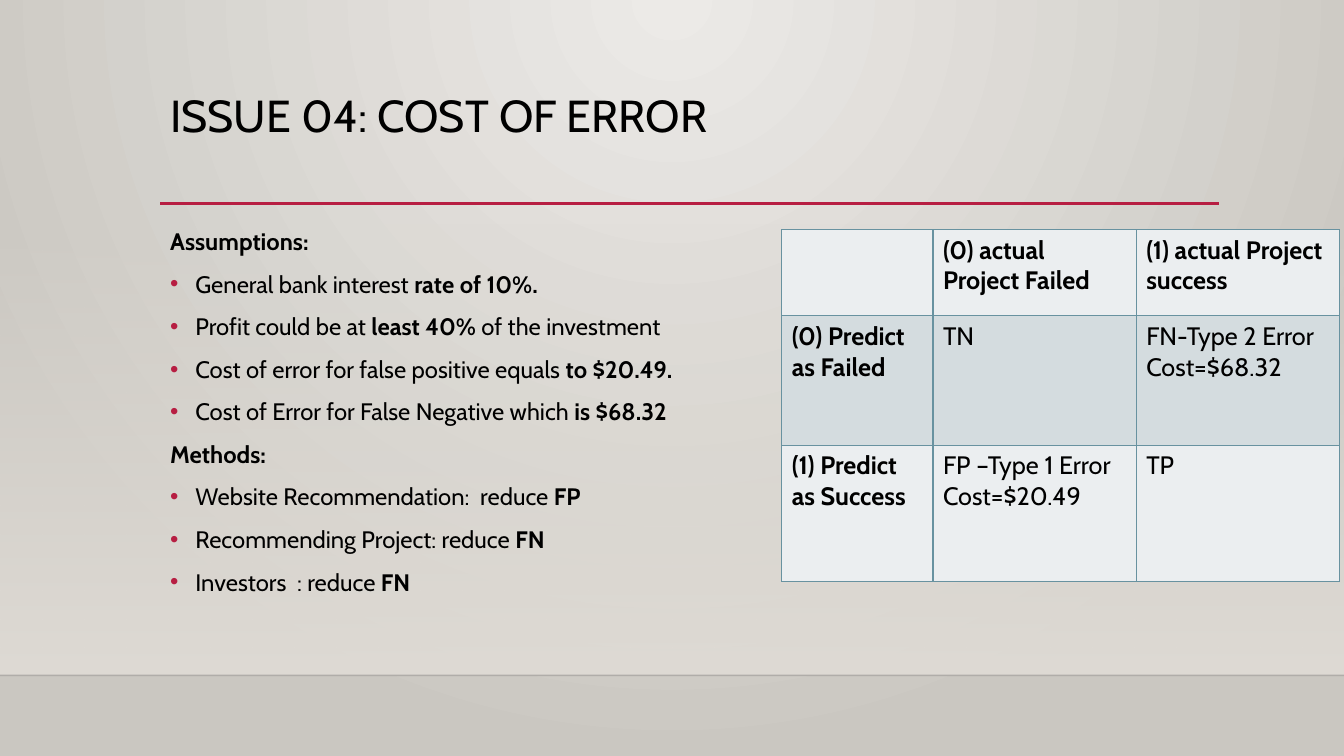
from pptx import Presentation
from pptx.dml.color import RGBColor
from pptx.enum.shapes import MSO_CONNECTOR, MSO_SHAPE
from pptx.enum.text import MSO_ANCHOR, PP_ALIGN
from pptx.oxml.ns import qn
from pptx.oxml.xmlchemy import OxmlElement
from pptx.util import Pt

STRAIGHT = MSO_CONNECTOR.STRAIGHT
RECTANGLE = MSO_SHAPE.RECTANGLE
TOP = MSO_ANCHOR.TOP
LEFT = PP_ALIGN.LEFT

FONT = "Cabin"
COLORS = {
    "glow": "ECEAE7",
    "edge": "CAC7C1",
    "wall": "DFDBD5",
    "floor_line": "000001",
    "accent": "B71E42",
    "text": "000000",
    "border": "6892A0",
    "light_row": "EBEEF0",
    "dark_row": "D4DCDF",
}
SLIDE_WIDTH, SLIDE_HEIGHT = 960, 540
FLOOR_TOP = 482.4
CONTENT_LEFT, CONTENT_WIDTH = 114.5, 756

# Each line is (is bulleted, [(text, is bold), ...])
BODY = [
    (False, [("Assumptions:", True)]),
    (True, [("General bank interest ", False), ("rate of 10%.", True)]),
    (True, [("Profit could be at ", False), ("least 40%", True),
            (" of the investment", False)]),
    (True, [("Cost of error for false positive equals ", False),
            ("to $20.49.", True)]),
    (True, [("Cost of Error for False Negative which ", False),
            ("is $68.32", True)]),
    (False, [("Methods:", True)]),
    (True, [("Website Recommendation:  reduce ", False), ("FP", True)]),
    (True, [("Recommending Project: reduce ", False), ("FN", True)]),
    (True, [("Investors  : reduce ", False), ("FN", True)]),
]

# Each cell is a list of paragraphs
MATRIX = [
    [[], ["(0) actual Project Failed"], ["(1) actual Project success"]],
    [["(0) Predict as Failed"], ["TN"], ["FN-Type 2 Error", "Cost=$68.32"]],
    [["(1) Predict as Success"], ["FP –Type 1 Error", "Cost=$20.49"], ["TP"]],
]
COLUMN_WIDTHS = [108, 145.2, 145.2]
ROW_HEIGHTS = [61.6, 92.6, 97]


def rgb(color):
    return RGBColor.from_string(COLORS[color])


def add_child(parent, tag, **attributes):
    child = OxmlElement(tag)
    for key, value in attributes.items():
        child.set(key, str(value))
    parent.append(child)
    return child


def set_gradient(fill, colors):
    fill.gradient()
    for stop, color, position in zip(fill.gradient_stops, colors, (0, 1)):
        stop.color.rgb = rgb(color)
        stop.position = position


def set_opacity(element, percent):
    """Set the opacity of the first colour found in the element."""
    add_child(element.find(".//" + qn("a:srgbClr")), "a:alpha",
              val=percent * 1000)


def paint_background(slide):
    """Paint a round glow that starts at the top middle."""
    set_gradient(slide.background.fill, ("glow", "edge"))
    gradient = slide.element.find(".//" + qn("a:gradFill"))
    gradient.remove(gradient.find(qn("a:lin")))
    glow = add_child(gradient, "a:path", path="circle")
    add_child(glow, "a:fillToRect", l=43000, t=0, r=43000, b=100000)


def add_wall(slide, top):
    """Add a panel that fades in downwards, from clear to solid."""
    wall = slide.shapes.add_shape(RECTANGLE, 0, Pt(top), Pt(SLIDE_WIDTH),
                                  Pt(FLOOR_TOP - top))
    wall.shadow.inherit = False
    wall.line.fill.background()
    set_gradient(wall.fill, ("wall", "wall"))
    wall.fill.gradient_angle = 270
    set_opacity(wall.element.spPr, 0)


def add_rule(slide, left, right, y, color, weight):
    rule = slide.shapes.add_connector(STRAIGHT, Pt(left), Pt(y), Pt(right), Pt(y))
    rule.line.color.rgb = rgb(color)
    rule.line.width = Pt(weight)
    add_child(rule.element.spPr, "a:effectLst")
    return rule


def add_run(paragraph, text, size, bold=False):
    run = paragraph.add_run()
    run.text = text
    run.font.name = FONT
    run.font.size = Pt(size)
    run.font.bold = bold
    run.font.color.rgb = rgb("text")


def add_text_frame(slide, top, height):
    box = slide.shapes.add_textbox(Pt(CONTENT_LEFT), Pt(top),
                                   Pt(CONTENT_WIDTH), Pt(height))
    frame = box.text_frame
    frame.word_wrap = True
    frame.vertical_anchor = TOP
    return frame


def add_title(slide, text):
    paragraph = add_text_frame(slide, 63.4, 82.8).paragraphs[0]
    paragraph.line_spacing = 0.9
    add_run(paragraph, text, 32)


def set_bullet(paragraph):
    properties = paragraph._p.get_or_add_pPr()
    properties.set("marL", str(Pt(18)))
    properties.set("indent", str(-Pt(18)))
    bullet_color = add_child(properties, "a:buClr")
    add_child(bullet_color, "a:srgbClr", val=COLORS["accent"])
    add_child(properties, "a:buFont", typeface="Arial")
    add_child(properties, "a:buChar", char="•")


def add_body(slide):
    frame = add_text_frame(slide, 158.4, 271.4)
    for index, (bulleted, runs) in enumerate(BODY):
        paragraph = frame.add_paragraph() if index else frame.paragraphs[0]
        paragraph.alignment = LEFT
        paragraph.space_before = Pt(10)
        if bulleted:
            set_bullet(paragraph)
        for text, bold in runs:
            add_run(paragraph, text, 17, bold)


def set_borders(cell):
    properties = cell._tc.get_or_add_tcPr()
    for side in ("a:lnL", "a:lnR", "a:lnT", "a:lnB"):
        border = add_child(properties, side, w=Pt(1))
        line_fill = add_child(border, "a:solidFill")
        add_child(line_fill, "a:srgbClr", val=COLORS["border"])


def add_matrix(slide):
    matrix = slide.shapes.add_table(
        len(ROW_HEIGHTS), len(COLUMN_WIDTHS), Pt(558.4), Pt(164),
        Pt(sum(COLUMN_WIDTHS)), Pt(sum(ROW_HEIGHTS))).table
    for column, width in zip(matrix.columns, COLUMN_WIDTHS):
        column.width = Pt(width)
    for row, height in zip(matrix.rows, ROW_HEIGHTS):
        row.height = Pt(height)
    for r, row_texts in enumerate(MATRIX):
        for c, lines in enumerate(row_texts):
            cell = matrix.cell(r, c)
            set_borders(cell)
            cell.fill.solid()
            cell.fill.fore_color.rgb = rgb("dark_row" if r % 2 else "light_row")
            frame = cell.text_frame
            for index, line in enumerate(lines):
                paragraph = frame.add_paragraph() if index else frame.paragraphs[0]
                add_run(paragraph, line, 18, bold=r == 0 or c == 0)


def main():
    deck = Presentation()
    deck.slide_width, deck.slide_height = Pt(SLIDE_WIDTH), Pt(SLIDE_HEIGHT)
    slide = deck.slides.add_slide(deck.slide_layouts[6])
    paint_background(slide)
    add_wall(slide, 159)
    floor_line = add_rule(slide, 0, SLIDE_WIDTH, FLOOR_TOP, "floor_line", 1)
    set_opacity(floor_line.element.spPr, 20)
    add_rule(slide, CONTENT_LEFT, CONTENT_LEFT + CONTENT_WIDTH, 145.4, "accent", 2.5)
    add_title(slide, "ISSUE 04: COST OF ERROR")
    add_body(slide)
    add_matrix(slide)
    deck.save("out.pptx")


if __name__ == "__main__":
    main()
